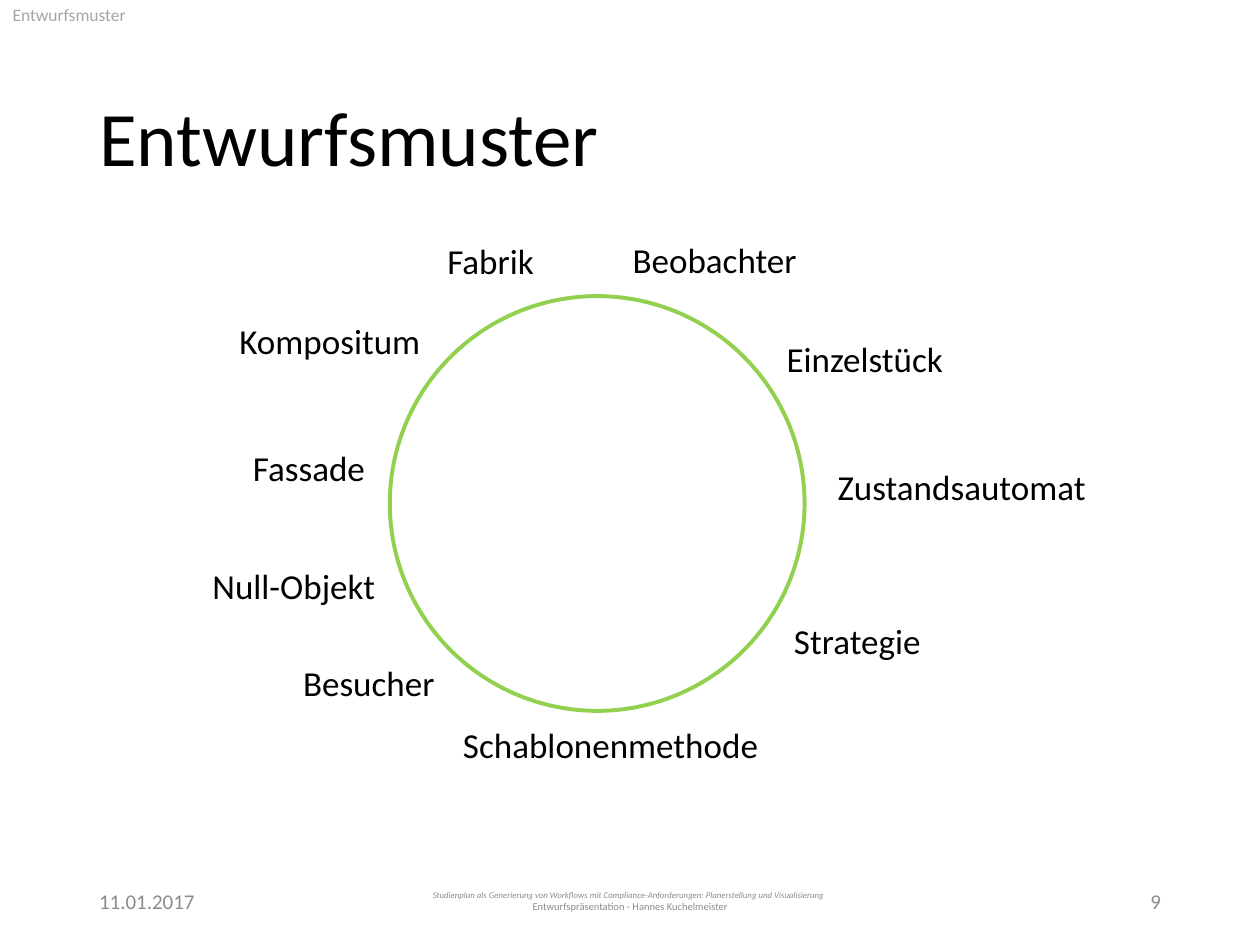
from typing import NamedTuple

from pptx import Presentation
from pptx.dml.color import RGBColor
from pptx.enum.shapes import MSO_SHAPE
from pptx.enum.text import MSO_ANCHOR, MSO_AUTO_SIZE, PP_ALIGN
from pptx.util import Pt

OVAL = MSO_SHAPE.OVAL
TOP, MIDDLE = MSO_ANCHOR.TOP, MSO_ANCHOR.MIDDLE
LEFT, CENTER, RIGHT = PP_ALIGN.LEFT, PP_ALIGN.CENTER, PP_ALIGN.RIGHT
FIXED, GROW = MSO_AUTO_SIZE.NONE, MSO_AUTO_SIZE.SHAPE_TO_FIT_TEXT
FONT = "Calibri"
BLACK, GRAY, PALE, GREEN, WHITE = "000000", "8C8C8C", "A6A6A6", "92D050", "FFFFFF"
LABEL_HEIGHT = 31.5
FOOT_TOP, FOOT_HEIGHT = 500.4, 28.8


class Label(NamedTuple):
    text: str
    left: float
    top: float
    width: float


class Foot(NamedTuple):
    text: str
    left: float
    width: float
    align: PP_ALIGN
    sizes: tuple[float, ...]


LABELS = [
    Label("Fassade", 137.5, 251.6, 79.2),
    Label("Kompositum", 129.7, 178.9, 118.8),
    Label("Besucher", 166.1, 374.7, 90.7),
    Label("Null-Objekt", 114.3, 319, 108.7),
    Label("Beobachter", 354.4, 132.5, 109.4),
    Label("Einzelstück", 442.4, 189.4, 105.1),
    Label("Zustandsautomat", 471.5, 262.5, 157.7),
    Label("Strategie", 446.6, 350.6, 87.8),
    Label("Schablonenmethode", 257.5, 409.7, 185),
    Label("Fabrik", 248.5, 133.2, 64.8),
]

FEET = [
    Foot("11.01.2017", 49.5, 162, LEFT, (12,)),
    Foot(
        "Studienplan als Generierung von Workflows mit Compliance-Anforderungen: "
        "Planerstellung und Visualisierung \n"
        "Entwurfspräsentation - Hannes Kuchelmeister",
        238.5, 243, CENTER, (5, 6),
    ),
    Foot("9", 508.5, 162, RIGHT, (12,)),
]


def color(code: str) -> RGBColor:
    return RGBColor.from_string(code)


def paint(shape, code: str) -> None:
    shape.fill.solid()
    shape.fill.fore_color.rgb = color(code)


def place(shape, left: float, top: float, width: float, height: float) -> None:
    shape.left, shape.top = Pt(left), Pt(top)
    shape.width, shape.height = Pt(width), Pt(height)


def style(part, size: float, code: str, align: PP_ALIGN = LEFT) -> None:
    part.alignment = align
    for run in part.runs:
        font = run.font
        font.name, font.size, font.bold = FONT, Pt(size), False
        font.color.rgb = color(code)


def fill_holder(shape, text: str, size: float, code: str, anchor: MSO_ANCHOR) -> None:
    paint(shape, WHITE)
    frame = shape.text_frame
    frame.text = text
    frame.auto_size = FIXED
    frame.vertical_anchor = anchor
    part = frame.paragraphs[0]
    part.line_spacing, part.space_before = 0.9, Pt(0)
    style(part, size, code)


def add_box(slide, text: str, left: float, top: float, width: float, height: float):
    box = slide.shapes.add_textbox(Pt(left), Pt(top), Pt(width), Pt(height))
    paint(box, WHITE)
    box.text_frame.text = text
    return box.text_frame


def draw_label(slide, label: Label) -> None:
    frame = add_box(slide, *label, LABEL_HEIGHT)
    frame.word_wrap, frame.auto_size = False, GROW
    style(frame.paragraphs[0], 20, BLACK)


def draw_foot(slide, foot: Foot) -> None:
    frame = add_box(slide, foot.text, foot.left, FOOT_TOP, foot.width, FOOT_HEIGHT)
    frame.word_wrap, frame.vertical_anchor = True, MIDDLE
    for part, size in zip(frame.paragraphs, foot.sizes):
        style(part, size, GRAY, foot.align)
    if len(foot.sizes) > 1:
        frame.paragraphs[0].runs[0].font.italic = True


def draw_ring(slide) -> None:
    ring = slide.shapes.add_shape(OVAL, Pt(222.75), Pt(169.2), Pt(237), Pt(237))
    ring.shadow.inherit = False
    ring.fill.background()
    ring.line.color.rgb = color(GREEN)
    ring.line.width = Pt(2.25)


def main() -> None:
    deck = Presentation()
    deck.slide_width, deck.slide_height = Pt(720), Pt(540)
    slide = deck.slides.add_slide(deck.slide_layouts.get_by_name("Comparison"))
    title, header, *spare = slide.placeholders
    for shape in spare:
        shape.element.getparent().remove(shape.element)

    place(title, 49.5, 28.8, 621, 104.4)
    fill_holder(title, "Entwurfsmuster", 44, BLACK, MIDDLE)
    place(header, 0, 0, 720, 14.4)
    fill_holder(header, "Entwurfsmuster", 10, PALE, TOP)
    header.text_frame.word_wrap = False

    for foot in FEET:
        draw_foot(slide, foot)
    for label in LABELS:
        draw_label(slide, label)
    draw_ring(slide)
    deck.save("out.pptx")


if __name__ == "__main__":
    main()
